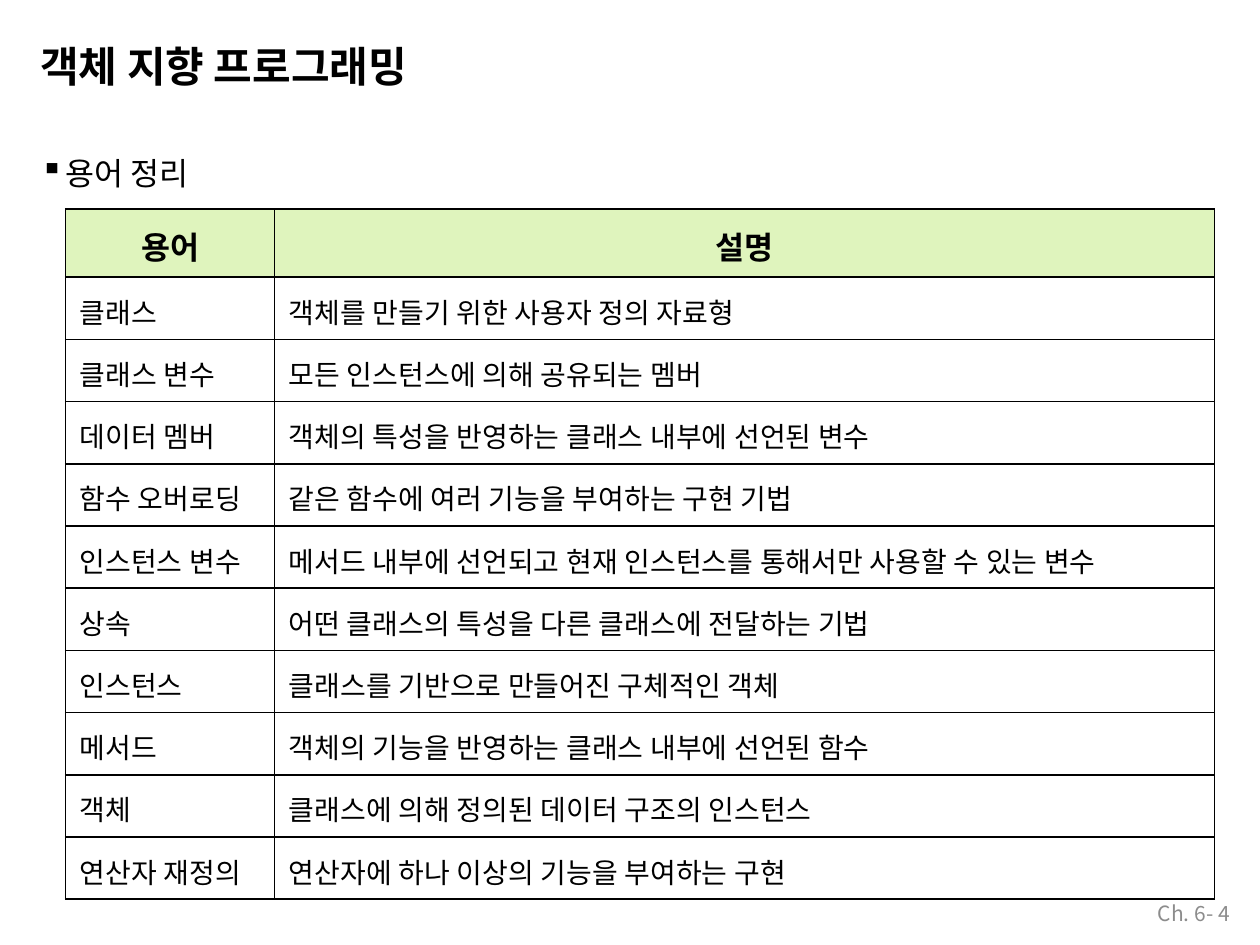
from lxml.etree import SubElement
from pptx import Presentation
from pptx.dml.color import RGBColor
from pptx.enum.text import MSO_ANCHOR, PP_ALIGN
from pptx.oxml.ns import qn
from pptx.util import Inches, Pt

TITLE = "객체 지향 프로그래밍"
TOPIC = "용어 정리"
PAGE = "Ch. 6- 4"
HEAD = ("용어", "설명")
TERMS = [
    ("클래스", "객체를 만들기 위한 사용자 정의 자료형"),
    ("클래스 변수", "모든 인스턴스에 의해 공유되는 멤버"),
    ("데이터 멤버", "객체의 특성을 반영하는 클래스 내부에 선언된 변수"),
    ("함수 오버로딩", "같은 함수에 여러 기능을 부여하는 구현 기법"),
    ("인스턴스 변수", "메서드 내부에 선언되고 현재 인스턴스를 통해서만 사용할 수 있는 변수"),
    ("상속", "어떤 클래스의 특성을 다른 클래스에 전달하는 기법"),
    ("인스턴스", "클래스를 기반으로 만들어진 구체적인 객체"),
    ("메서드", "객체의 기능을 반영하는 클래스 내부에 선언된 함수"),
    ("객체", "클래스에 의해 정의된 데이터 구조의 인스턴스"),
    ("연산자 재정의", "연산자에 하나 이상의 기능을 부여하는 구현"),
]

THEME = {
    "font": "Noto Sans CJK KR",
    "ink": "000000", "muted": "8C8C8C", "head": "DFF4BD",
    "title": 24, "topic": 18, "body": 16, "page": 12,
}
WIDE, HIGH = 10, 7.5
EDGE = 0.31
LEFT, TOP = 0.52, 1.66
COLS = (1.66, 7.46)
HEAD_H, GRID_H = 0.54, 5.48
ROW_H = (GRID_H - HEAD_H) / len(TERMS)


def write(frame, text, size, color="ink", bold=False, align=PP_ALIGN.LEFT,
          before=1, indent=0, hang=0, bullet=None, track=0):
    para = frame.paragraphs[0]
    para.alignment = align
    para.space_before = Pt(before)
    props = para._p.get_or_add_pPr()
    props.set("marL", str(Inches(indent)))
    props.set("indent", str(-Inches(hang)))
    if bullet:
        SubElement(props, qn("a:buChar")).set("char", bullet)
    run = para.add_run()
    run.text = text
    font = run.font
    font.name, font.size, font.bold = THEME["font"], Pt(THEME[size]), bold
    font.color.rgb = RGBColor.from_string(THEME[color])
    mark = run._r.get_or_add_rPr()
    SubElement(mark, qn("a:ea")).set("typeface", THEME["font"])
    if track:
        mark.set("spc", str(track))


def label(slide, box, text, size, top=0.01, anchor=MSO_ANCHOR.TOP, **form):
    frame = slide.shapes.add_textbox(*map(Inches, box)).text_frame
    frame.word_wrap = True
    frame.vertical_anchor = anchor
    frame.margin_left = frame.margin_right = frame.margin_bottom = 0
    frame.margin_top = Inches(top)
    write(frame, text, size, **form)


def border(cell):
    props = cell._tc.get_or_add_tcPr()
    for at, side in enumerate(("lnL", "lnR", "lnT", "lnB")):
        line = props.makeelement(qn("a:" + side), {"w": str(Pt(1))})
        fill = SubElement(line, qn("a:solidFill"))
        SubElement(fill, qn("a:srgbClr")).set("val", THEME["ink"])
        props.insert(at, line)


def grid(slide):
    rows = [HEAD, *TERMS]
    box = map(Inches, (LEFT, TOP, sum(COLS), GRID_H))
    table = slide.shapes.add_table(len(rows), len(COLS), *box).table
    for col, width in zip(table.columns, COLS):
        col.width = Inches(width)
    for r, row in enumerate(rows):
        table.rows[r].height = Inches(ROW_H if r else HEAD_H)
        for c, text in enumerate(row):
            cell = table.cell(r, c)
            cell.margin_left = cell.margin_right = cell.margin_bottom = 0
            cell.margin_top = Inches(0.11)
            if r:
                cell.fill.background()
                form = dict(size="body", indent=0.11, track=10)
            else:
                cell.fill.solid()
                cell.fill.fore_color.rgb = RGBColor.from_string(THEME["head"])
                form = dict(size="topic", bold=True, align=PP_ALIGN.CENTER)
            write(cell.text_frame, text, before=8, **form)
            border(cell)


def main():
    deck = Presentation()
    deck.slide_width, deck.slide_height = Inches(WIDE), Inches(HIGH)
    slide = deck.slides.add_slide(deck.slide_layouts[6])
    label(slide, (EDGE, EDGE, 3.26, 0.43), TITLE, "title", bold=True, indent=0.01)
    label(slide, (EDGE, 1.21, 1.32, 0.33), TOPIC, "topic",
          indent=0.21, hang=0.2, bullet="▪")
    grid(slide)
    label(slide, (8.8, 7.15, 0.96, 0.2), PAGE, "page", top=0, before=0,
          color="muted", align=PP_ALIGN.RIGHT, anchor=MSO_ANCHOR.MIDDLE)
    deck.save("out.pptx")


if __name__ == "__main__":
    main()
